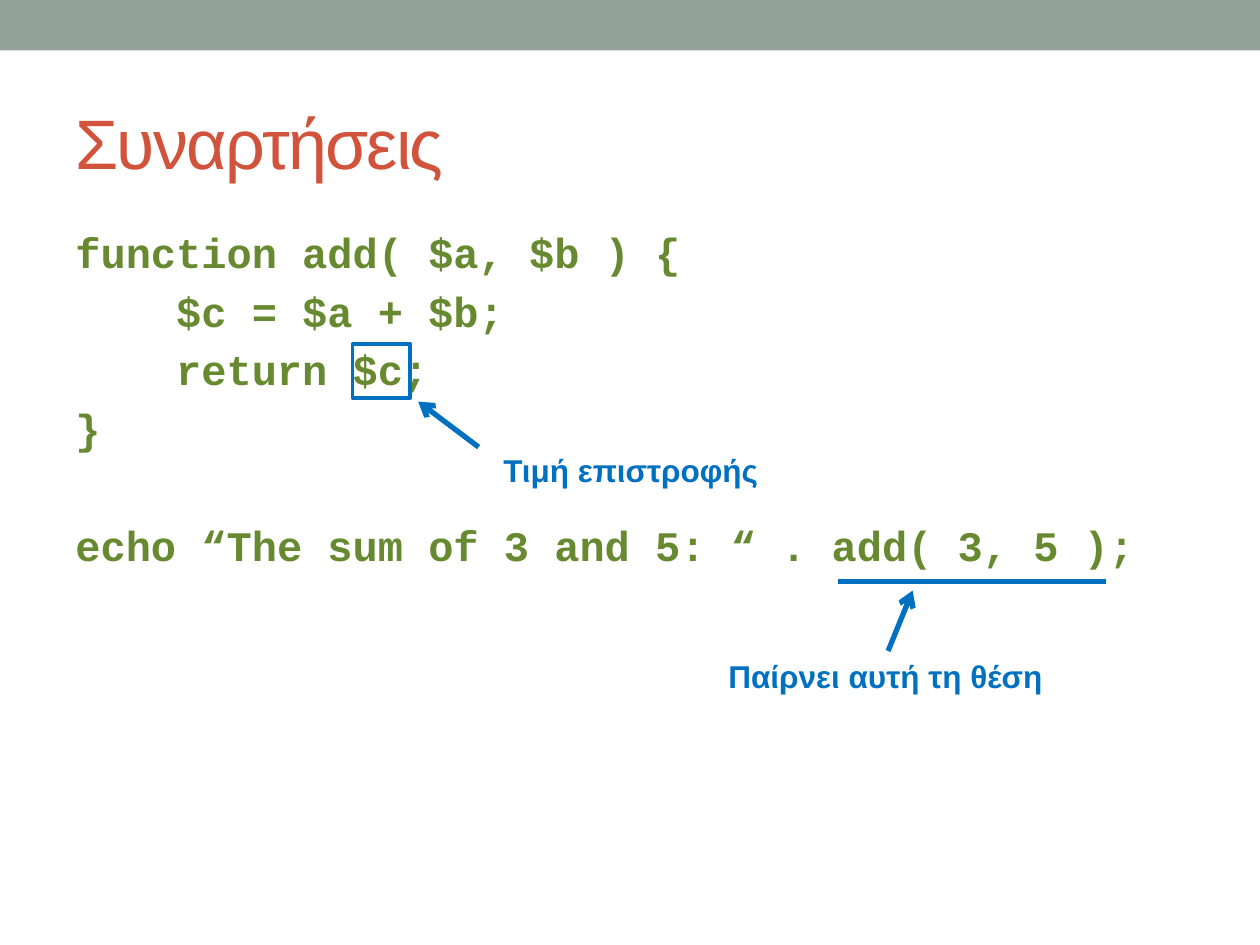
from lxml.etree import SubElement as Sub
from pptx import Presentation
from pptx.dml.color import RGBColor as RGB
from pptx.enum.shapes import MSO_CONNECTOR as Link, MSO_SHAPE as Kind
from pptx.enum.text import MSO_ANCHOR as Anchor, PP_ALIGN as Align
from pptx.oxml.ns import qn
from pptx.util import Pt

BLUE = "0070C0"
GREEN = "678930"
CODE = [
    ("function add( $a, $b ) {", 0, 0),
    ("$c = $a + $b;", 4, 0),
    ("return $c;", 4, 0),
    ("}", 0, 0),
    ("echo “The sum of 3 and 5: “ . add( 3, 5 );", 0, 1),
]


def paint(part, color):
    part.fill.solid()
    part.fill.fore_color.rgb = RGB.from_string(color)


def write(par, text, size=18, font="Arial", color=BLUE, bold=True,
          align=Align.LEFT, track=0, before=0, indent=0):
    par.alignment = align
    par.space_before = Pt(before)
    if indent:
        props = par._p.get_or_add_pPr()
        props.set("marL", str(Pt(indent)))
        props.set("indent", "0")
    run = par.add_run()
    run.text = text
    run.font.size = Pt(size)
    run.font.name = font
    run.font.bold = bold
    run.font.color.rgb = RGB.from_string(color)
    if track:
        run._r.get_or_add_rPr().set("spc", str(track * 100))


def frame(slide, box, anchor=Anchor.TOP):
    text = slide.shapes.add_textbox(*map(Pt, box)).text_frame
    text.word_wrap = True
    text.vertical_anchor = anchor
    return text


def rect(slide, box):
    shape = slide.shapes.add_shape(Kind.RECTANGLE, *map(Pt, box))
    shape.shadow.inherit = False
    return shape


def stroke(slide, start, end, arrow=False):
    line = slide.shapes.add_connector(Link.STRAIGHT, *map(Pt, start + end))
    line.line.color.rgb = RGB.from_string(BLUE)
    line.line.width = Pt(3)
    if arrow:
        Sub(line.line._get_or_add_ln(), qn("a:tailEnd"), type="arrow")
    Sub(line._element.spPr, qn("a:effectLst"))


def band(slide, box):
    shape = rect(slide, box)
    paint(shape, "93A299")
    shape.line.fill.background()


def title(slide, box):
    text = frame(slide, box, Anchor.MIDDLE)
    write(text.paragraphs[0], "Συναρτήσεις", size=40, color="D2533C",
          bold=False, track=-1)


def code(slide, box):
    size, gap, pitch, wide = 24, 4.7, 33.55, 14.4
    text = frame(slide, box)
    for num, (line, depth, skip) in enumerate(CODE):
        par = text.add_paragraph() if num else text.paragraphs[0]
        write(par, line, size=size, font="Courier New", color=GREEN,
              before=gap + skip * pitch, indent=depth * wide)


def result(slide, box):
    left, top, width, height = box
    mark = rect(slide, (left, top, 33, 31))
    mark.fill.background()
    mark.line.color.rgb = RGB.from_string(BLUE)
    mark.line.width = Pt(2.08)
    stroke(slide, (left + 72, top + 59), (left + 37.5, top + 33), arrow=True)
    note = frame(slide, (left + 79, top + 57.5, width - 79, height - 57.5))
    write(note.paragraphs[0], "Τιμή επιστροφής")


def call(slide, box):
    left, top, width, height = box
    right = left + width
    stroke(slide, (right - 153, top), (right, top))
    stroke(slide, (right - 124.5, top + 39.5), (right - 110.5, top + 5),
           arrow=True)
    note = frame(slide, (left, top + 39.5, width, height - 39.5))
    write(note.paragraphs[0], "Παίρνει αυτή τη θέση", align=Align.CENTER)


def main():
    deck = Presentation()
    deck.slide_width, deck.slide_height = Pt(720), Pt(540)
    slide = deck.slides.add_slide(deck.slide_layouts[6])
    band(slide, (0, 0, 720, 28.8))
    title(slide, (36, 42, 648, 78))
    code(slide, (36, 126, 648, 384))
    result(slide, (201.5, 196.5, 255, 86.5))
    call(slide, (380, 332.5, 252, 68.5))
    deck.save("out.pptx")


if __name__ == "__main__":
    main()
